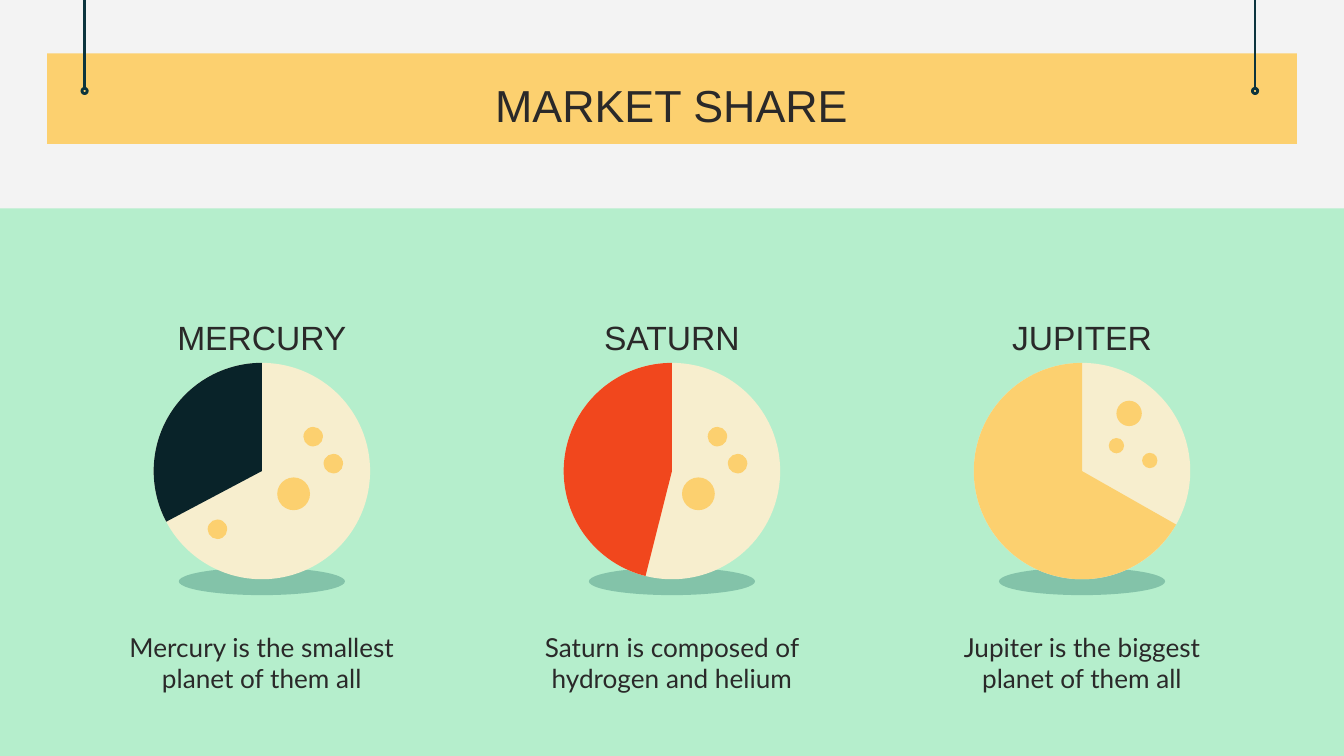
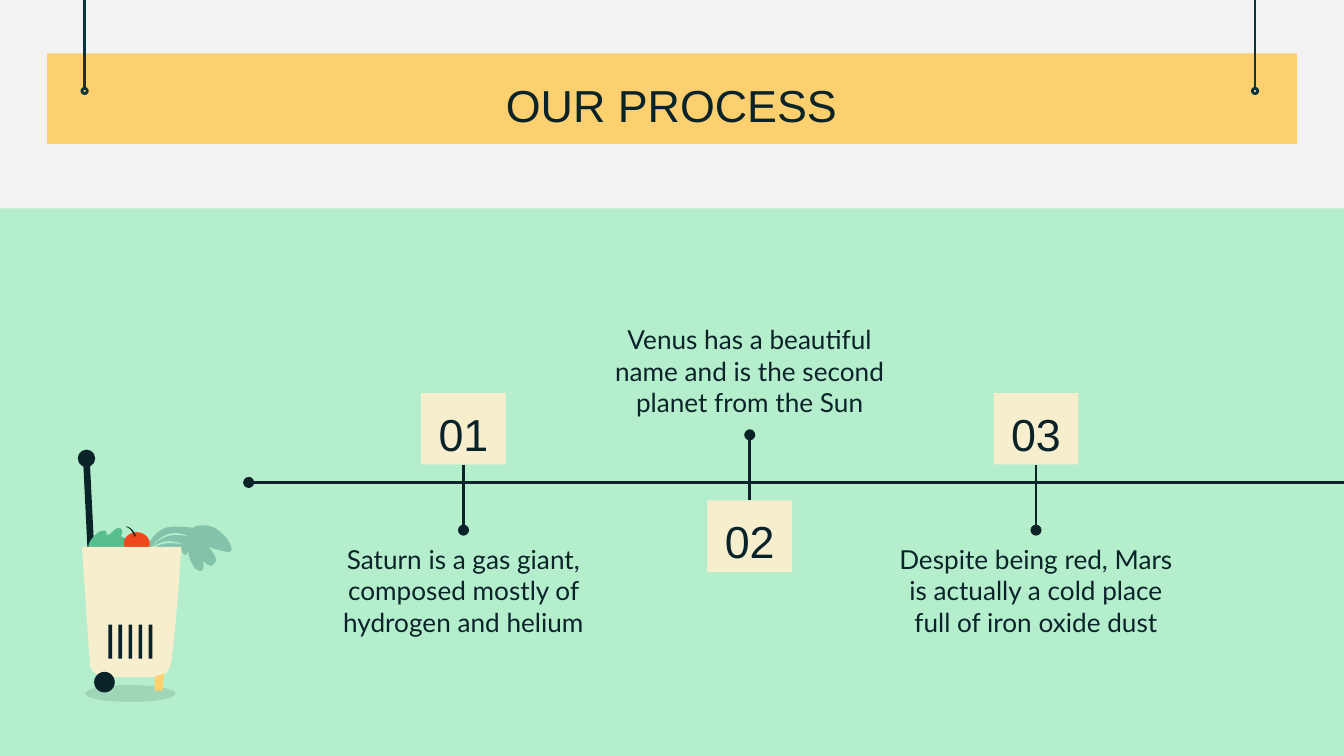
"""Builds two slides: market share by planet and a three-step process."""
from lxml import etree
from pptx import Presentation
from pptx import util as u
from pptx.dml.color import RGBColor
from pptx.enum import shapes, text
from pptx.oxml.ns import qn

PAPER, MINT, YELLOW, CREAM = "F3F3F3", "B5EECC", "FCD06F", "F7EECE"
INK, NAVY, GREY, SAGE = "092329", "0C343D", "2A2929", "83C3A9"
LEAF, RED = "57BF8E", "F1471D"
HEADING, BODY = "Arial", "Lato"
WIDTH, HEIGHT = 25.4, 14.29

SHARE_TITLE = "MARKET SHARE"
PLANETS = [
    dict(name="MERCURY", caption="Mercury is the smallest planet of them all",
         colour=INK, start=152.07,
         craters=[(0.97, -0.65, 0.37), (1.35, -0.14, 0.37), (0.6, 0.43, 0.62),
                  (-0.84, 1.1, 0.37)]),
    dict(name="SATURN", caption="Saturn is composed of hydrogen and helium",
         colour=RED, start=104.1,
         craters=[(0.86, -0.65, 0.37), (1.24, -0.14, 0.37), (0.5, 0.43, 0.62)]),
    dict(name="JUPITER", caption="Jupiter is the biggest planet of them all",
         colour=YELLOW, start=29.6,
         craters=[(0.65, -0.48, 0.29), (1.28, -0.2, 0.29), (0.89, -1.09, 0.48)]),
]

PROCESS_TITLE = "OUR PROCESS"
STEPS = [
    ("01", "Saturn is a gas giant, composed mostly of hydrogen and helium"),
    ("02", "Venus has a beautiful name and is the second planet from the Sun"),
    ("03", "Despite being red, Mars is actually a cold place full of iron oxide dust"),
]

VEIN = [(112, 409), (115, 403, 122, 396.5, 131, 396.8), (134, 397, 138, 398, 140, 399),
        (131, 397.6, 126, 397.8, 120, 401), (116.5, 403, 114, 406, 112, 409)]
LOWER_VEIN = [tuple(v + (6 if i % 2 else -4.5) for i, v in enumerate(step)) for step in VEIN]
CELERY = [
    (151, 391), (146, 391, 143, 393, 143, 393), (143, 393, 142, 392, 131, 392),
    (130, 392, 129, 392, 128, 392), (115, 392, 108, 409, 108, 409),
    (108, 413, 110, 414, 113, 414), (118, 414, 125, 409, 125, 409),
    (125, 409, 131, 407, 134, 407), (136, 412, 137, 413, 138, 413),
    (139, 413, 140, 410, 140, 410), (140, 414, 144, 425, 149, 425),
    (153, 425, 151, 417, 151, 417), (151, 417, 154, 421, 157, 421),
    (158, 421, 159, 420, 160, 419), (163, 415, 155, 407, 155, 407),
    (155, 407, 164, 410, 170, 411), (176, 411, 170, 399, 160, 393),
    (156, 391, 153, 391, 151, 391)]
LETTUCE = [
    (88, 393), (85, 393, 83, 398, 80, 398), (80, 398, 79, 398, 79, 398),
    (80, 397, 79, 395, 78, 395), (78, 395, 77, 395, 77, 395),
    (75, 395, 73, 396, 72, 397), (68, 401, 65, 404, 66, 409),
    (66, 410, 69, 414, 74, 415), (76, 415, 78, 415, 81, 415),
    (87, 415, 93, 414, 96, 411), (98, 409, 98, 405, 97, 403),
    (95, 401, 94, 401, 92, 400), (89, 399, 90, 399, 91, 397),
    (91, 395, 91, 393, 88, 393)]
STALK = [(94, 391.6), (99, 393, 101, 398, 101, 399), (100, 399.4),
         (100, 399, 98, 393, 94, 392.2)]
BIN = [(61, 407), (67, 495), (67, 495, 68, 504, 81, 504), (115, 504),
       (115, 504, 116, 504, 117, 504), (120, 504, 127, 502, 128, 488),
       (131, 469, 135, 407, 135, 407)]
CART = [
    (INK, [(62, 346), (65, 407), (70, 407), (67, 346)]),
    (SAGE, CELERY),
    (MINT, VEIN),
    (MINT, LOWER_VEIN),
    (LEAF, LETTUCE),
    (RED, (2.34, 10.06, 0.49, 0.43)),
    (INK, STALK),
    (CREAM, BIN),
    (INK, (1.47, 8.5, 0.33, 0.33)),
    (INK, (1.61, 12.95, 1.71, 0.32), 12),
    (INK, (1.78, 12.7, 0.39, 0.39)),
    (YELLOW, [(122, 501), (115, 504), (115, 514), (121, 514)]),
]


def rgb(colour):
    return RGBColor.from_string(colour)


def finish(shape, colour, opacity=100):
    shape.shadow.inherit = False
    shape.line.fill.background()
    shape.fill.solid()
    shape.fill.fore_color.rgb = rgb(colour)
    if opacity < 100:
        tint = shape.element.spPr.find(".//" + qn("a:srgbClr"))
        etree.SubElement(tint, qn("a:alpha"), val=str(opacity * 1000))
    return shape


def draw(slide, kind, box, colour, opacity=100):
    shape = slide.shapes.add_shape(kind, *map(u.Cm, box))
    return finish(shape, colour, opacity)


def rect(slide, box, colour):
    return draw(slide, shapes.MSO_SHAPE.RECTANGLE, box, colour)


def oval(slide, box, colour, opacity=100):
    return draw(slide, shapes.MSO_SHAPE.OVAL, box, colour, opacity)


def line(slide, start, end, colour, weight, dot=False):
    stroke = slide.shapes.add_connector(
        shapes.MSO_CONNECTOR.STRAIGHT, *map(u.Cm, (*start, *end)))
    stroke.line.color.rgb = rgb(colour)
    stroke.line.width = u.Pt(weight)
    if dot:
        etree.SubElement(stroke.line._get_or_add_ln(), qn("a:tailEnd"), type="oval")
    etree.SubElement(stroke.element.spPr, qn("a:effectLst"))
    return stroke


def outline(slide, steps, colour):
    """Draws an outline given in hundredths of an inch; six numbers make a curve."""
    points = [steps[0]]
    for step in steps[1:]:
        if len(step) == 2:
            points.append(step)
            continue
        knots = points[-1], step[:2], step[2:4], step[4:]
        for t in (i / 8 for i in range(1, 9)):
            weights = (1 - t) ** 3, 3 * t * (1 - t) ** 2, 3 * t * t * (1 - t), t ** 3
            points.append(tuple(sum(w * k[axis] for w, k in zip(weights, knots))
                                for axis in (0, 1)))
    unit = u.Cm(2.54) / 100
    first, *rest = [(x * unit, y * unit) for x, y in points]
    builder = slide.shapes.build_freeform(*first)
    builder.add_line_segments(rest, close=True)
    return finish(builder.convert_to_shape(), colour)


def write(shape, words, size, font, colour, anchor=text.MSO_ANCHOR.TOP, top=0.25):
    frame = shape.text_frame
    frame.word_wrap = True
    frame.vertical_anchor = anchor
    frame.margin_left = frame.margin_right = frame.margin_bottom = u.Cm(0.25)
    frame.margin_top = u.Cm(top)
    frame.text = words
    paragraph = frame.paragraphs[0]
    paragraph.alignment = text.PP_ALIGN.CENTER
    paragraph.font.size = u.Pt(size)
    paragraph.font.name = font
    paragraph.font.color.rgb = rgb(colour)


def label(slide, box, *style, **place):
    write(slide.shapes.add_textbox(*map(u.Cm, box)), *style, **place)


def decorate(layout, slide):
    """Draws the shared backdrop on the slide and moves it to the layout."""
    layout.background.fill.solid()
    layout.background.fill.fore_color.rgb = rgb(PAPER)
    backdrop = [rect(slide, (0, 3.94, WIDTH, HEIGHT - 3.94), MINT),
                rect(slide, (0.89, 1.01, 23.62, 1.71), YELLOW)]
    for x in (1.6, WIDTH - 1.68):
        backdrop.append(line(slide, (x, 0), (x, 1.66), NAVY, 1.25))
        ring = oval(slide, (x - 0.05, 1.67, 0.1, 0.1), NAVY)
        ring.fill.background()
        ring.line.color.rgb = rgb(NAVY)
        ring.line.width = u.Pt(1.5)
        backdrop.append(ring)
    for i, part in enumerate(backdrop):
        part.element.xpath(".//p:cNvPr")[0].set("id", str(100 + i))
        layout.shapes.element.insert(2 + i, part.element)
    title = layout.placeholders[0]
    title.left, title.top, title.width, title.height = map(u.Cm, (3.81, 1.17, 17.76, 1.6))


def share(slide):
    write(slide.shapes.title, SHARE_TITLE, 24, HEADING, GREY, text.MSO_ANCHOR.MIDDLE)
    disc, top, pitch, column = 4.09, 6.86, 7.75, 5.92
    for i, planet in enumerate(PLANETS):
        x, y = WIDTH / 2 + (i - 1) * pitch, top + disc / 2
        globe = x - disc / 2, top, disc, disc
        oval(slide, (x - 1.57, 10.73, 3.14, 0.52), SAGE)
        oval(slide, globe, CREAM)
        slice_ = draw(slide, shapes.MSO_SHAPE.PIE, globe, planet["colour"])
        slice_.adjustments[0] = planet["start"] * 0.6
        slice_.adjustments[1] = 270 * 0.6
        for dx, dy, size in planet["craters"]:
            oval(slide, (x + dx - size / 2, y + dy - size / 2, size, size), YELLOW)
        label(slide, (x - column / 2, 4.88, column, 1.93), planet["name"],
              18, HEADING, GREY, text.MSO_ANCHOR.BOTTOM, top=0.89)
        label(slide, (x - column / 2, 11.58, column, 1.24), planet["caption"],
              14, BODY, GREY, text.MSO_ANCHOR.MIDDLE, top=0.89)


def process(slide):
    write(slide.shapes.title, PROCESS_TITLE, 24, HEADING, INK, text.MSO_ANCHOR.MIDDLE)
    axis, gap, reach, first, pitch = 9.12, 0.34, 0.9, 8.76, 5.41
    wide, tall, column = 1.6, 1.35, 6.02
    line(slide, (WIDTH, axis), (4.7, axis), INK, 1.5, dot=True)
    for i, (number, caption) in enumerate(STEPS):
        x, side = first + i * pitch, -1 if i % 2 else 1
        line(slide, (x, axis - side * gap), (x, axis + side * reach), INK, 1.5, dot=True)
        tile_top = axis - gap - tall if side > 0 else axis + gap
        tile = rect(slide, (x - wide / 2, tile_top, wide, tall), CREAM)
        write(tile, number, 24, HEADING, INK)
        caption_top = axis + reach if side > 0 else 5.87
        label(slide, (x - column / 2, caption_top, column, 2.21), caption, 14, BODY, INK)
    for colour, form, *opacity in CART:
        if isinstance(form, list):
            outline(slide, form, colour)
        else:
            oval(slide, form, colour, *opacity)
    for i in range(5):
        rect(slide, (2.05 + i * 0.19, 11.81, 0.07, 0.64), INK)


def main():
    deck = Presentation()
    deck.slide_width, deck.slide_height = u.Cm(WIDTH), u.Cm(HEIGHT)
    layout = deck.slide_layouts.get_by_name("Title Only")
    market, steps = (deck.slides.add_slide(layout) for _ in range(2))
    decorate(layout, market)
    share(market)
    process(steps)
    deck.save("out.pptx")


if __name__ == "__main__":
    main()
